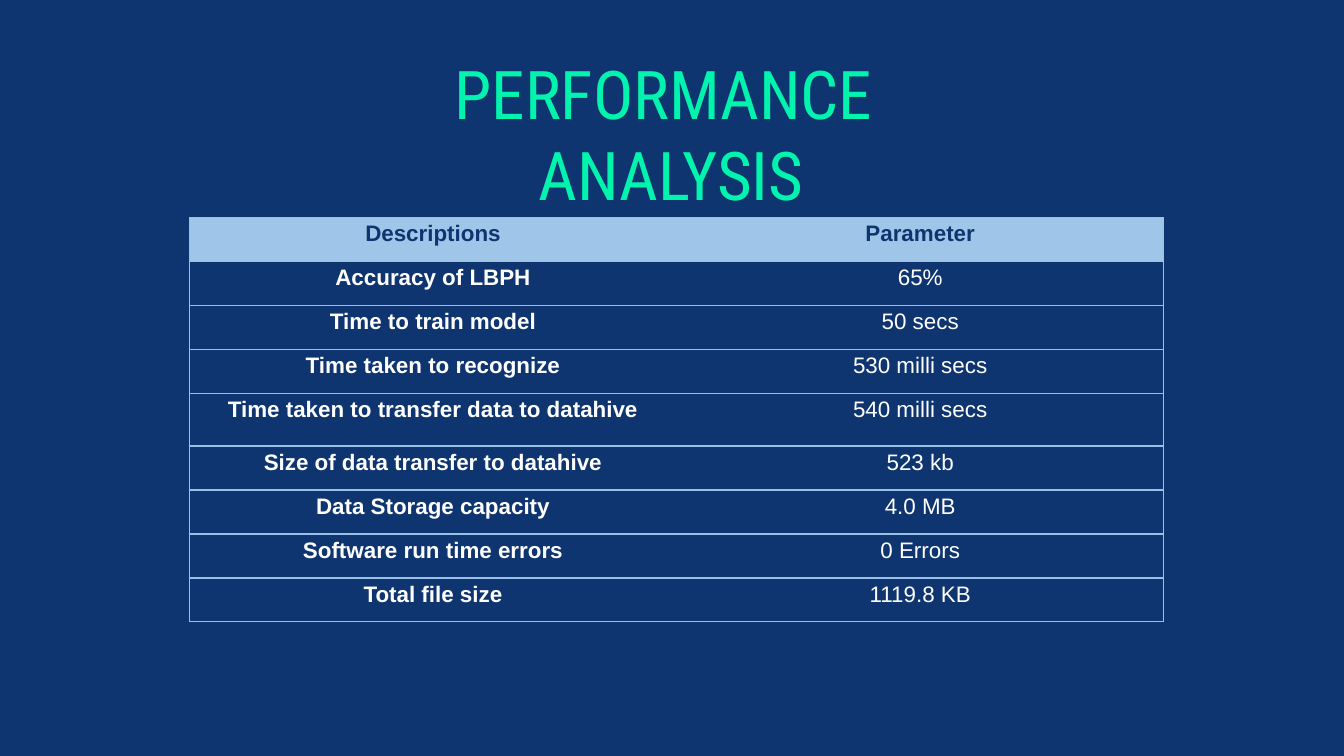
from lxml import etree
from pptx import Presentation
from pptx.dml.color import RGBColor
from pptx.enum import text
from pptx.oxml import ns
from pptx.util import Inches, Pt

NAVY, MINT, SKY, LINE, WHITE = "0F3570", "00F4AD", "9FC5E8", "9AC1E5", "FFFFFF"


def paint(fill, color):
    fill.solid()
    fill.fore_color.rgb = RGBColor.from_string(color)


def write(para, words, color, **form):
    para.text = words
    para.alignment = text.PP_ALIGN.CENTER
    font = para.runs[0].font
    for name, value in form.items():
        setattr(font, name, value)
    paint(font.fill, color)


# Widescreen 16:9 page
deck = Presentation()
deck.slide_width = Inches(10)
deck.slide_height = deck.slide_width * 9 // 16
slide = deck.slides.add_slide(deck.slide_layouts[6])
paint(slide.background.fill, NAVY)

# Title
title = slide.shapes.add_textbox(Inches(2.93), Inches(0.34), Inches(4.13), Inches(0.71))
frame = title.text_frame
frame.word_wrap = True
write(frame.paragraphs[0], "PERFORMANCE  ANALYSIS", MINT,
      name="Roboto Condensed", size=Pt(36))

# Table
rows = [
    ("Descriptions", "Parameter"),
    ("Accuracy of LBPH", "65%"),
    ("Time to train model", "50 secs"),
    ("Time taken to recognize", "530 milli secs"),
    ("Time taken to transfer data to datahive", "540 milli secs"),
    ("Size of data transfer to datahive", "523 kb"),
    ("Data Storage capacity", "4.0 MB"),
    ("Software run time errors", "0 Errors"),
    ("Total file size", "1119.8 KB"),
]
tall, total = Inches(0.39), Inches(3.01)
short = (total - tall) // (len(rows) - 1)
table = slide.shapes.add_table(len(rows), 2, Inches(1.41), Inches(1.62),
                               Inches(7.25), total).table
table.horz_banding = False
for r, row in enumerate(rows):
    table.rows[r].height = tall if r == 4 else short
    for c, words in enumerate(row):
        cell = table.cell(r, c)
        cell.margin_left = cell.margin_right = Inches(0.07)
        cell.margin_top = cell.margin_bottom = 0
        para = cell.text_frame.paragraphs[0]
        write(para, words, WHITE if r else NAVY,
              name="Arial", size=Pt(12), bold=r == 0 or c == 0)
        para.line_spacing, para.space_after = 1.15, Pt(10)

        # Borders: outer frame and row lines, none between the columns
        props = cell._tc.get_or_add_tcPr()
        for side in "LRTB":
            edge = etree.SubElement(props, ns.qn("a:ln" + side), w=str(Pt(0.75)))
            if side == "RL"[c]:
                etree.SubElement(edge, ns.qn("a:noFill"))
            else:
                solid = etree.SubElement(edge, ns.qn("a:solidFill"))
                etree.SubElement(solid, ns.qn("a:srgbClr"), val=LINE)
        if r:
            cell.fill.background()
        else:
            paint(cell.fill, SKY)

deck.save("out.pptx")
